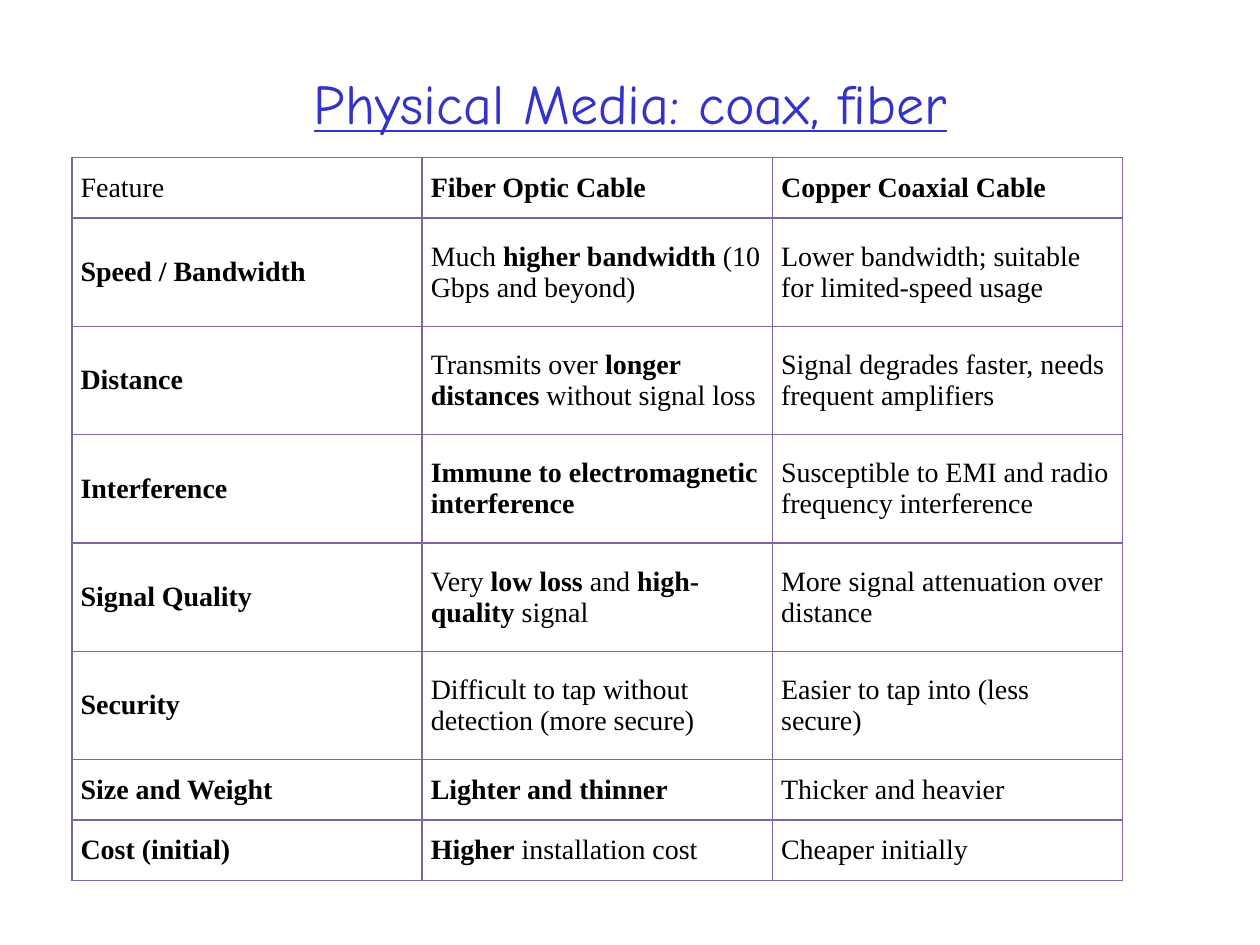
"""Build a slide that compares fiber optic and copper coaxial cable."""
from lxml import etree
from pptx import Presentation
from pptx import util as u
from pptx.dml.color import RGBColor
from pptx.enum import text
from pptx.oxml import ns

TITLE_BLUE = RGBColor(0x33, 0x33, 0xCC)
BORDER_PURPLE = RGBColor(0x80, 0x64, 0xA2)
BLACK = RGBColor(0, 0, 0)

TITLE_FONT = {"name": "Comic Neue", "size": u.Pt(32), "underline": True, "bold": False}
CELL_FONT = {"name": "Times New Roman", "size": u.Pt(16)}
TITLE_BOX = {"left": u.Inches(0.57), "top": u.Inches(0.53),
             "width": u.Inches(8.87), "height": u.Inches(0.55)}
TITLE_FRAME = {"margin_left": 0, "margin_top": u.Inches(0.01), "margin_right": 0,
               "margin_bottom": 0, "word_wrap": True,
               "vertical_anchor": text.MSO_ANCHOR.TOP,
               "auto_size": text.MSO_AUTO_SIZE.SHAPE_TO_FIT_TEXT}
TITLE_PARAGRAPH = {"alignment": text.PP_ALIGN.CENTER, "space_before": u.Pt(1)}
CELL_FORMAT = {"margin_left": u.Inches(0.07), "margin_right": u.Inches(0.07),
               "margin_top": u.Inches(0.04), "margin_bottom": u.Inches(0.04),
               "vertical_anchor": text.MSO_ANCHOR.MIDDLE}

COLUMN_WIDTH = 2.78
SHORT_ROW, TALL_ROW = 0.48, 0.86
ROW_HEIGHTS = [SHORT_ROW] + [TALL_ROW] * 5 + [SHORT_ROW] * 2
FEATURES = [
    ("Feature", "**Fiber Optic Cable**", "**Copper Coaxial Cable**"),
    ("**Speed / Bandwidth**", "Much **higher bandwidth** (10 Gbps and beyond)",
     "Lower bandwidth; suitable for limited-speed usage"),
    ("**Distance**", "Transmits over **longer distances** without signal loss",
     "Signal degrades faster, needs frequent amplifiers"),
    ("**Interference**", "**Immune to electromagnetic interference**",
     "Susceptible to EMI and radio frequency interference"),
    ("**Signal Quality**", "Very **low loss** and **high-quality** signal",
     "More signal attenuation over distance"),
    ("**Security**", "Difficult to tap without detection (more secure)",
     "Easier to tap into (less secure)"),
    ("**Size and Weight**", "**Lighter and thinner**", "Thicker and heavier"),
    ("**Cost (initial)**", "**Higher** installation cost", "Cheaper initially"),
]


def apply_format(target, values):
    """Set each named attribute on the target."""
    for name, value in values.items():
        setattr(target, name, value)


def add_run(paragraph, wording, font, color):
    """Add one formatted run to a paragraph."""
    run = paragraph.add_run()
    run.text = wording
    apply_format(run.font, font)
    run.font.color.rgb = color


def add_title(slide, wording):
    """Place and format the slide title."""
    title = slide.shapes.title
    apply_format(title, TITLE_BOX)
    apply_format(title.text_frame, TITLE_FRAME)
    paragraph = title.text_frame.paragraphs[0]
    apply_format(paragraph, TITLE_PARAGRAPH)
    add_run(paragraph, wording, TITLE_FONT, TITLE_BLUE)


def add_borders(cell):
    """Draw a one-point line on all four sides of a cell."""
    properties = cell._tc.get_or_add_tcPr()
    for side in ("a:lnL", "a:lnR", "a:lnT", "a:lnB"):
        line = etree.SubElement(properties, ns.qn(side), w=str(u.Pt(1)))
        fill = etree.SubElement(line, ns.qn("a:solidFill"))
        etree.SubElement(fill, ns.qn("a:srgbClr"), val=str(BORDER_PURPLE))


def fill_cell(cell, wording):
    """Write a cell in which double asterisks enclose bold words."""
    apply_format(cell, CELL_FORMAT)
    add_borders(cell)
    cell.fill.background()
    paragraph = cell.text_frame.paragraphs[0]
    for index, part in enumerate(wording.split("**")):
        if part:
            add_run(paragraph, part, {**CELL_FONT, "bold": index % 2 == 1}, BLACK)


def add_feature_table(slide):
    """Add the comparison table."""
    columns = len(FEATURES[0])
    table = slide.shapes.add_table(
        len(FEATURES), columns, u.Inches(0.57), u.Inches(1.25),
        u.Inches(COLUMN_WIDTH * columns), u.Inches(sum(ROW_HEIGHTS))).table
    apply_format(table, {"first_row": False, "horz_banding": False})
    for column in table.columns:
        column.width = u.Inches(COLUMN_WIDTH)
    for row, height, wordings in zip(table.rows, ROW_HEIGHTS, FEATURES):
        row.height = u.Inches(height)
        for cell, wording in zip(row.cells, wordings):
            fill_cell(cell, wording)


def main():
    """Build and save the presentation."""
    presentation = Presentation()
    apply_format(presentation, {"slide_width": u.Inches(10), "slide_height": u.Inches(7.5)})
    slide = presentation.slides.add_slide(presentation.slide_layouts[5])
    add_feature_table(slide)
    add_title(slide, "Physical Media: coax, fiber")
    presentation.save("out.pptx")


if __name__ == "__main__":
    main()
